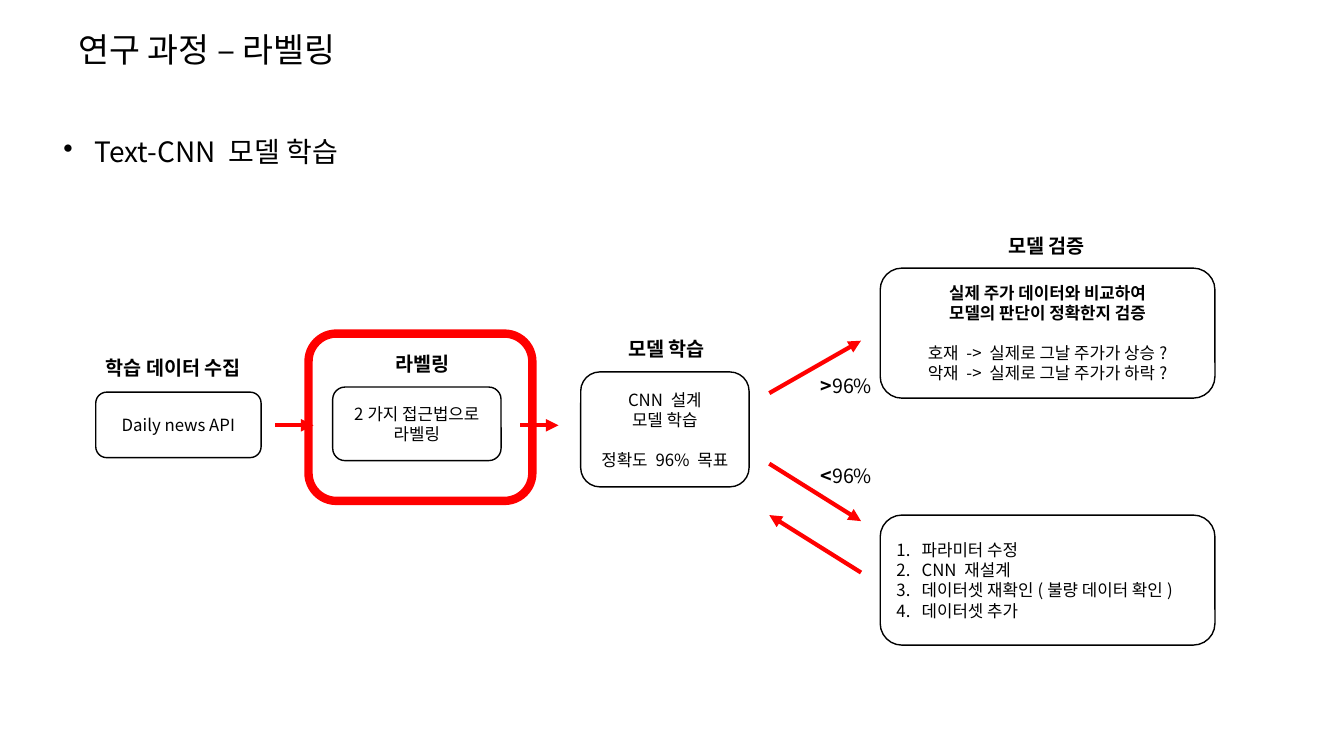
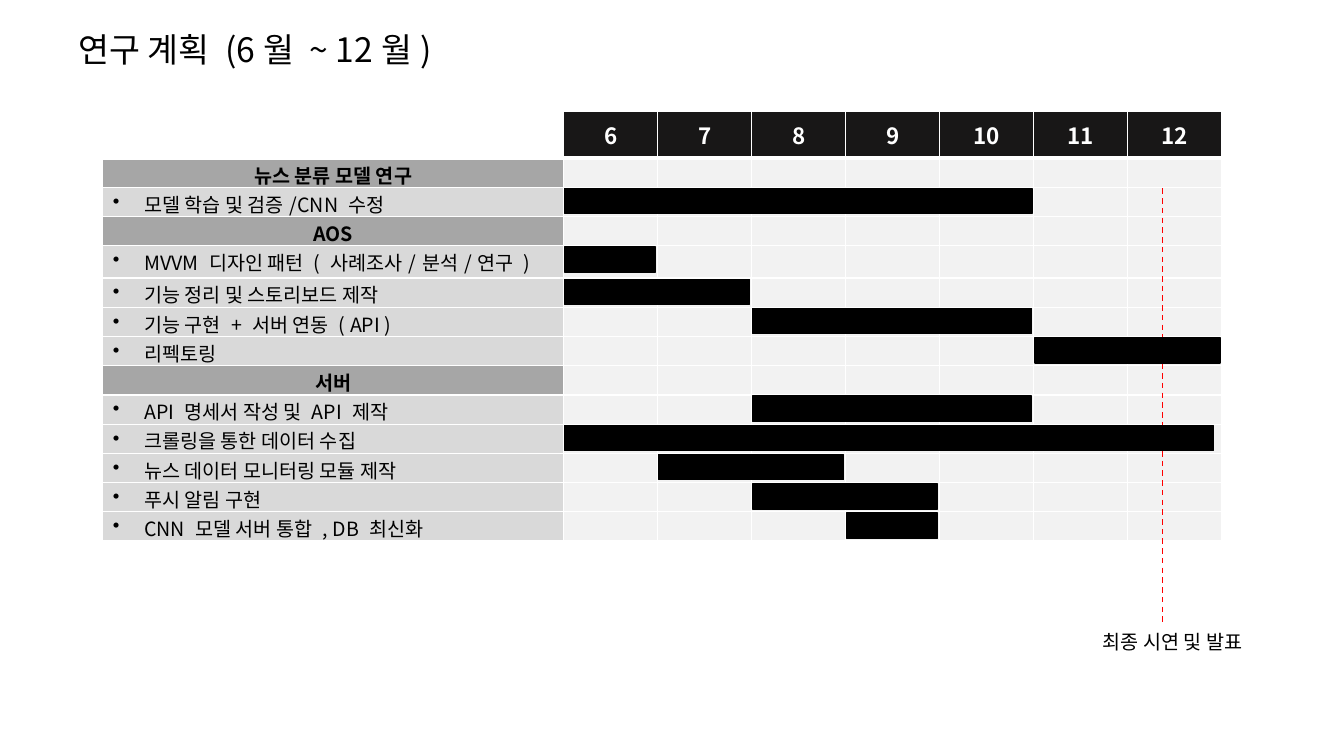
from dataclasses import dataclass

from lxml.etree import SubElement
from pptx import Presentation
from pptx.dml.color import RGBColor
from pptx.enum.dml import MSO_LINE
from pptx.enum.shapes import MSO_CONNECTOR, MSO_SHAPE
from pptx.enum.text import MSO_ANCHOR, PP_ALIGN
from pptx.oxml.ns import qn
from pptx.util import Inches, Pt

FONT = "Noto Sans CJK KR"
BLACK = RGBColor(0x00, 0x00, 0x00)
WHITE = RGBColor(0xFF, 0xFF, 0xFF)
RED = RGBColor(0xFF, 0x00, 0x00)
HEADER = RGBColor(0x18, 0x17, 0x17)
SECTION = RGBColor(0xA6, 0xA6, 0xA6)
TASK = RGBColor(0xD9, 0xD9, 0xD9)
GRID = RGBColor(0xF2, 0xF2, 0xF2)

BULLET = ("a:buChar", {"char": "•"})
NUMBER = ("a:buAutoNum", {"type": "arabicPeriod"})
CELL_INSETS = {"margin_left": Inches(0.1), "margin_right": Inches(0.1),
               "margin_top": Inches(0.02), "margin_bottom": Inches(0.02),
               "vertical_anchor": MSO_ANCHOR.MIDDLE}
HEADER_INSETS = {**CELL_INSETS, "margin_left": 0, "margin_right": 0,
                 "margin_top": Inches(0.04), "margin_bottom": Inches(0.04)}


@dataclass
class Para:
    """A paragraph; lead is a bold opening, before the space above in points."""
    text: str
    bold: bool = False
    lead: str = ""
    before: int = 0


def apply(target, values):
    for name, value in values.items():
        setattr(target, name, value)


class Deck:
    """Holds the shared style and the slide being filled."""

    def __init__(self):
        self.presentation = Presentation()
        apply(self.presentation, {"slide_width": Inches(13.33),
                                  "slide_height": Inches(7.5)})
        self.slide = None

    def new_slide(self, title):
        self.slide = self.presentation.slides.add_slide(
            self.presentation.slide_layouts[6])
        self.label(0.68, 0.24, 4.26, 0.5, title, size=24)

    def add_paras(self, frame, paras, size, color=BLACK, align=PP_ALIGN.LEFT,
                  marker=None, indent=0.31):
        for index, para in enumerate(paras):
            line = frame.paragraphs[0] if index == 0 else frame.add_paragraph()
            apply(line, {"alignment": align, "space_before": Pt(para.before)})
            if marker:
                tag, attributes = marker
                properties = line._p.get_or_add_pPr()
                properties.set("marL", str(Inches(indent)))
                properties.set("indent", str(-Inches(indent)))
                SubElement(properties, qn(tag), attributes)
            for text, bold in ((para.lead, True), (para.text, para.bold)):
                if text:
                    run = line.add_run()
                    run.text = text
                    apply(run.font, {"size": Pt(size), "bold": bold, "name": FONT})
                    run.font.color.rgb = color
                    SubElement(run._r.get_or_add_rPr(), qn("a:ea"), typeface=FONT)

    def label(self, left, top, width, height, text, size=14, bold=False,
              lead="", **style):
        box = self.slide.shapes.add_textbox(
            Inches(left), Inches(top), Inches(width), Inches(height))
        box.text_frame.word_wrap = True
        self.add_paras(box.text_frame, [Para(text, bold, lead)], size, **style)

    def shape(self, kind, left, top, width, height, fill=None, line=BLACK, weight=1):
        shape = self.slide.shapes.add_shape(
            kind, Inches(left), Inches(top), Inches(width), Inches(height))
        shape.shadow.inherit = False
        if fill is None:
            shape.fill.background()
        else:
            shape.fill.solid()
            shape.fill.fore_color.rgb = fill
        shape.line.color.rgb = line
        shape.line.width = Pt(weight)
        return shape

    def step(self, left, top, width, height, paras, align=PP_ALIGN.CENTER, **style):
        box = self.shape(MSO_SHAPE.ROUNDED_RECTANGLE, left, top, width, height, WHITE)
        apply(box.text_frame, {"word_wrap": True, "vertical_anchor": MSO_ANCHOR.MIDDLE})
        self.add_paras(box.text_frame, paras, 12, align=align, **style)

    def line(self, x1, y1, x2, y2, weight=3, arrow=True, dash=None):
        line = self.slide.shapes.add_connector(
            MSO_CONNECTOR.STRAIGHT, Inches(x1), Inches(y1), Inches(x2), Inches(y2))
        line.line.color.rgb = RED
        apply(line.line, {"width": Pt(weight), "dash_style": dash})
        properties = line._element.spPr
        if arrow:
            SubElement(properties.find(qn("a:ln")), qn("a:tailEnd"), type="triangle")
        SubElement(properties, qn("a:effectLst"))

    def table(self, left, top, widths, heights):
        table = self.slide.shapes.add_table(
            len(heights), len(widths), Inches(left), Inches(top),
            Inches(sum(widths)), Inches(sum(heights))).table
        apply(table, {"first_row": False, "horz_banding": False})
        for column, width in zip(table.columns, widths):
            column.width = Inches(width)
        for row, height in zip(table.rows, heights):
            row.height = Inches(height)
        return table

    def cell(self, cell, text="", fill=None, size=14, bold=False, borders=None,
             insets=CELL_INSETS, **style):
        """Fill a cell; borders maps a side (L, R, T, B) to a width other than 1."""
        apply(cell, insets)
        properties = cell._tc.get_or_add_tcPr()
        for side in "LRTB":
            weight = (borders or {}).get(side, 1)
            edge = SubElement(properties, qn(f"a:ln{side}"), w=str(Pt(weight)))
            SubElement(SubElement(edge, qn("a:solidFill")), qn("a:srgbClr"),
                       val=str(WHITE))
        if fill is None:
            cell.fill.background()
        else:
            cell.fill.solid()
            cell.fill.fore_color.rgb = fill
        if text:
            self.add_paras(cell.text_frame, [Para(text, bold)], size, **style)
        else:
            SubElement(cell.text_frame.paragraphs[0]._p, qn("a:endParaRPr"),
                       sz=str(size * 100))


def labeling_slide(deck):
    deck.new_slide("연구 과정 – 라벨링")
    deck.label(0.53, 1.29, 6.94, 0.44, "Text-CNN 모델 학습", size=20, marker=BULLET)

    deck.label(0.95, 3.48, 1.78, 0.34, "학습 데이터 수집", bold=True)
    for left, top, heading in ((3.3, 3.44, "라벨링"), (5.72, 3.29, "모델 학습"),
                               (9.49, 2.27, "모델 검증")):
        deck.label(left, top, 1.78, 0.34, heading, bold=True, align=PP_ALIGN.CENTER)

    deck.step(0.95, 3.89, 1.64, 0.65, [Para("Daily news API")])
    deck.step(3.3, 3.84, 1.67, 0.73, [Para("2가지 접근법으로"), Para("라벨링")])
    deck.step(5.76, 3.69, 1.67, 1.14, [
        Para("CNN 설계"), Para("모델 학습"), Para("정확도 96% 목표", before=14)])
    deck.step(8.73, 2.66, 3.32, 1.29, [
        Para("실제 주가 데이터와 비교하여", bold=True),
        Para("모델의 판단이 정확한지 검증", bold=True),
        Para("호재 -> 실제로 그날 주가가 상승?", before=14),
        Para("악재 -> 실제로 그날 주가가 하락?")])
    deck.step(8.73, 5.11, 3.32, 1.29, [
        Para("파라미터 수정"), Para("CNN 재설계"),
        Para("데이터셋 재확인(불량 데이터 확인)"), Para("데이터셋 추가")],
        align=PP_ALIGN.LEFT, marker=NUMBER, indent=0.25)

    for ends in ((2.73, 4.22, 3.11, 4.22), (5.16, 4.22, 5.54, 4.22),
                 (7.63, 3.9, 8.54, 3.38), (7.63, 4.6, 8.54, 5.17),
                 (8.54, 5.68, 7.63, 5.11)):
        deck.line(*ends)
    for top, sign in ((3.66, ">"), (4.55, "<")):
        deck.label(8.04, top, 0.79, 0.34, "96%", lead=sign)
    deck.shape(MSO_SHAPE.ROUNDED_RECTANGLE, 3.06, 3.31, 2.22, 1.66,
               line=RED, weight=6)


# Each task has its first month and its length in months; a section has neither.
PLAN = (
    ("뉴스 분류 모델 연구", None),
    ("모델 학습 및 검증/CNN 수정", (6, 5)),
    ("AOS", None),
    ("MVVM 디자인 패턴 ( 사례조사/분석/연구 )", (6, 1)),
    ("기능 정리 및 스토리보드 제작", (6, 2)),
    ("기능 구현 + 서버 연동 ( API )", (8, 3)),
    ("리펙토링", (11, 2)),
    ("서버", None),
    ("API 명세서 작성 및 API 제작", (8, 3)),
    ("크롤링을 통한 데이터 수집", (6, 6.93)),
    ("뉴스 데이터 모니터링 모듈 제작", (7, 2)),
    ("푸시 알림 구현", (8, 2)),
    ("CNN 모델 서버 통합 , DB 최신화", (9, 1)),
)


def plan_slide(deck):
    deck.new_slide("연구 계획 (6월 ~ 12월)")
    left, top, task_width, total_width = 1.02, 1.11, 4.57, 11.1
    months = range(6, 13)
    month_width = (total_width - task_width) / len(months)
    heights = [0.46] + [0.29] * len(PLAN)
    heights[4] = 0.32
    table = deck.table(left, top, [task_width] + [month_width] * len(months), heights)

    for column, text in enumerate(["", *map(str, months)]):
        deck.cell(table.cell(0, column), text, HEADER if text else None, size=16,
                  bold=True, borders={"B": 3}, insets=HEADER_INSETS,
                  color=WHITE, align=PP_ALIGN.CENTER)
    for row, (name, schedule) in enumerate(PLAN, 1):
        borders = {"T": 3} if row == 1 else None
        if schedule:
            style = {"fill": TASK, "marker": BULLET}
        else:
            style = {"fill": SECTION, "bold": True, "align": PP_ALIGN.CENTER}
        deck.cell(table.cell(row, 0), name, borders=borders, **style)
        for column in range(1, len(months) + 1):
            deck.cell(table.cell(row, column), fill=GRID, borders=borders)

    deck.label(10.64, 6.2, 1.78, 0.34, "최종 시연 및 발표", align=PP_ALIGN.RIGHT)
    deck.line(11.53, 1.87, 11.53, 6.17, weight=1, arrow=False, dash=MSO_LINE.DASH)

    for row, (_, schedule) in enumerate(PLAN, 1):
        if schedule:
            start, length = schedule
            deck.shape(MSO_SHAPE.RECTANGLE,
                       left + task_width + (start - months[0]) * month_width + 0.01,
                       top + sum(heights[:row]) + 0.01,
                       length * month_width - 0.03, 0.25, fill=BLACK)


def main():
    deck = Deck()
    labeling_slide(deck)
    plan_slide(deck)
    deck.presentation.save("out.pptx")


if __name__ == "__main__":
    main()
